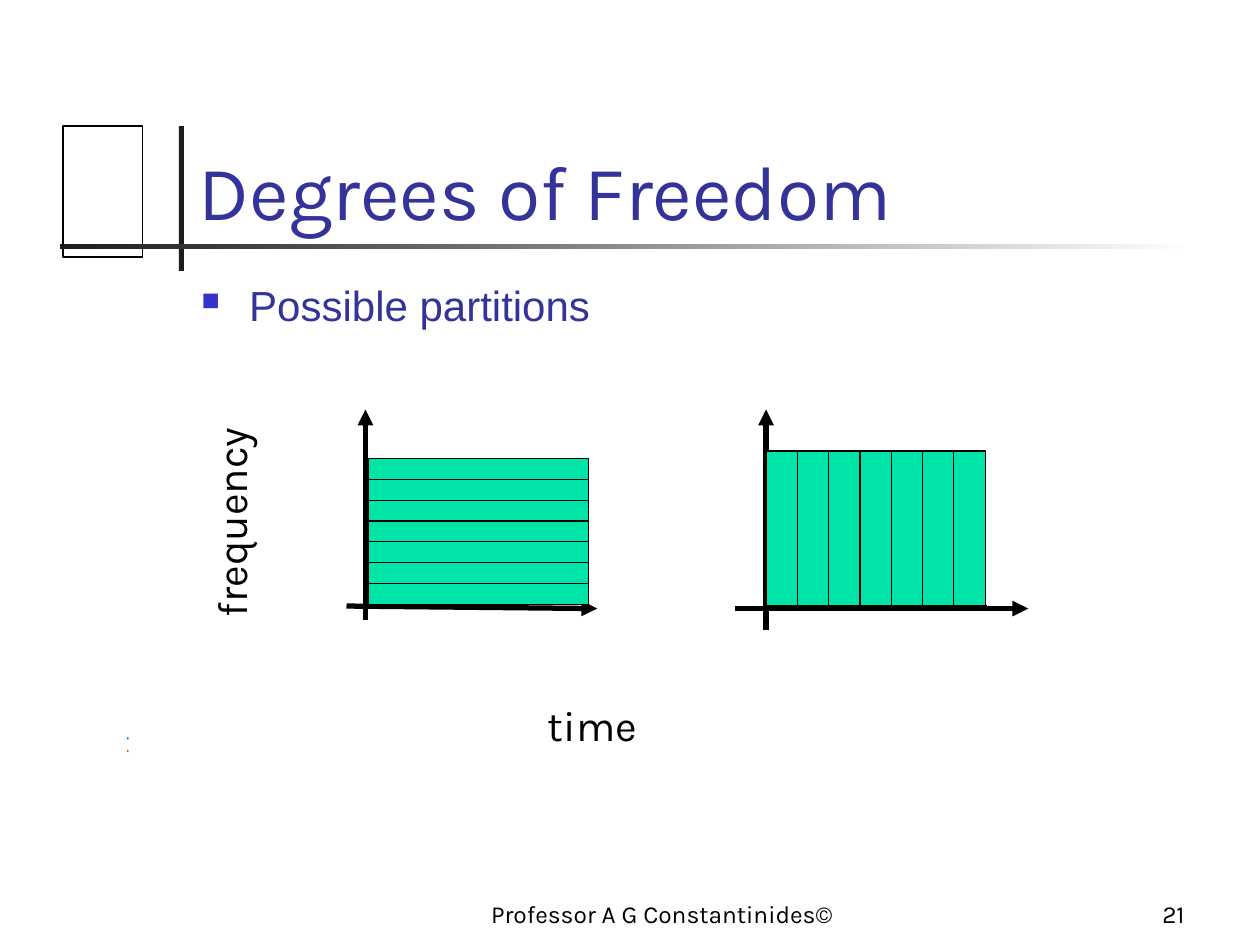
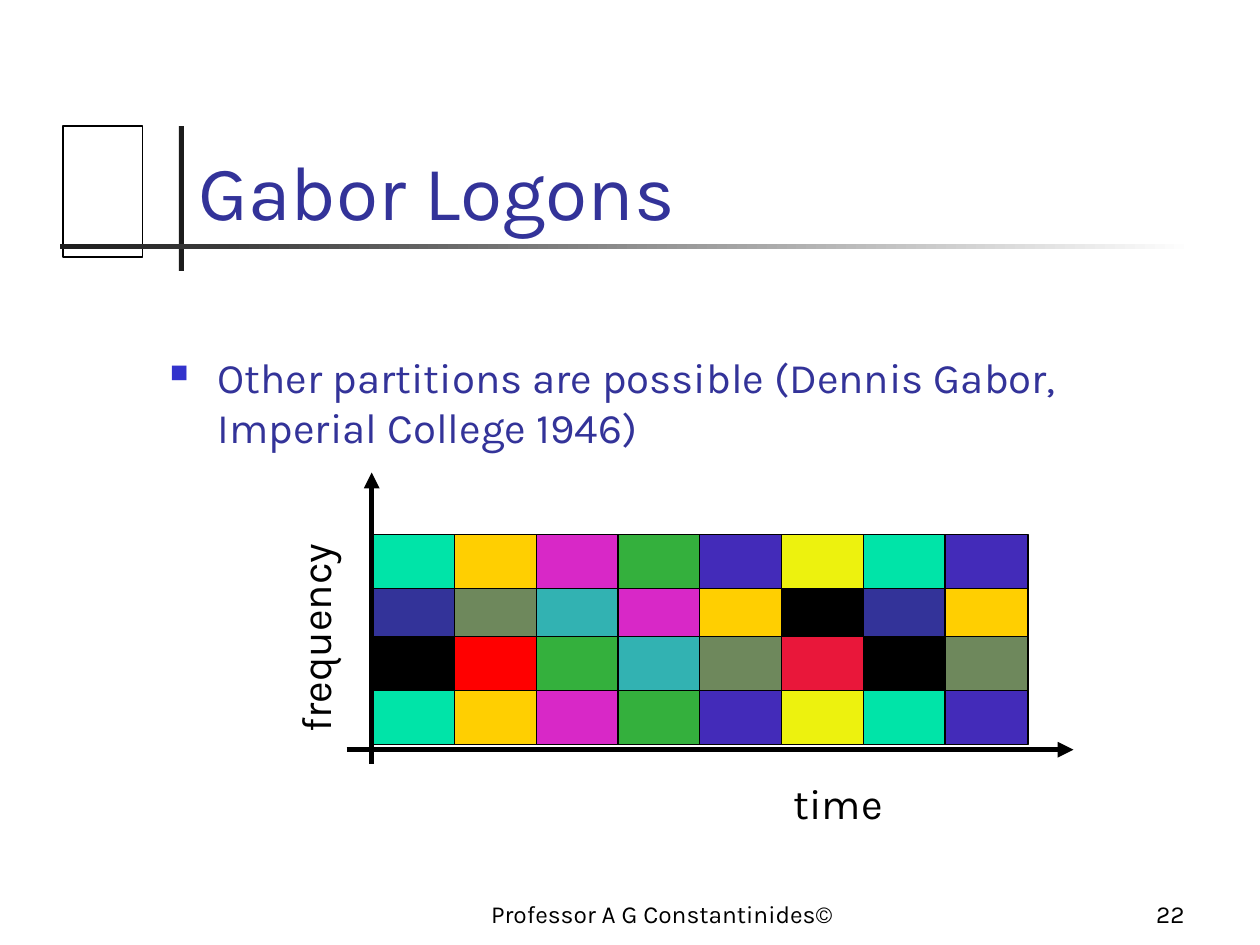
from lxml.etree import SubElement
from pptx import Presentation
from pptx.dml.color import RGBColor
from pptx.enum.dml import MSO_LINE
from pptx.enum.shapes import MSO_CONNECTOR as CONNECTOR, MSO_SHAPE as SHAPE
from pptx.enum.text import MSO_ANCHOR as ANCHOR, PP_ALIGN as ALIGN
from pptx.oxml.ns import qn
from pptx.util import Inches, Pt

rgb = RGBColor.from_string
BLACK, WHITE, DARK = "000000", "FFFFFF", "1C1C1C"
NAVY, GOLD, MINT = "333399", "FFCF01", "00E4A8"
MAGENTA, GREEN, VIOLET, YELLOW = "D828C7", "34B03D", "432BB9", "EDF20E"
OLIVE, TEAL, RED, CRIMSON = "6E885C", "32B2B2", "FF0000", "E9173A"


def add_box(slide, bounds, fill=None, outline=None, kind=SHAPE.RECTANGLE):
    """Add a shape; a pair of colours as fill gives a gradient from right to left."""
    shape = slide.shapes.add_shape(kind, *map(Inches, bounds))
    shape.shadow.inherit = False
    if fill is None:
        shape.fill.background()
    elif isinstance(fill, tuple):
        shape.fill.gradient()
        shape.fill.gradient_angle = 180
        for stop, colour in zip(shape.fill.gradient_stops, fill):
            stop.color.rgb = rgb(colour)
    else:
        shape.fill.solid()
        shape.fill.fore_color.rgb = rgb(fill)
    if outline:
        shape.line.color.rgb = rgb(outline)
        shape.line.width = Pt(0.75)
    else:
        shape.line.fill.background()


def add_line(slide, ends, arrow=True):
    """Add a thick axis with an arrowhead, or a thin dotted edge."""
    line = slide.shapes.add_connector(CONNECTOR.STRAIGHT, *map(Inches, ends))
    line.line.color.rgb = rgb(BLACK)
    line.line.width = Pt(3 if arrow else 0.75)
    if arrow:
        SubElement(line.line._get_or_add_ln(), qn("a:tailEnd"), type="triangle")
    else:
        line.line.dash_style = MSO_LINE.ROUND_DOT
    SubElement(line._element.spPr, qn("a:effectLst"))


presentation = Presentation()
presentation.slide_width, presentation.slide_height = Inches(10), Inches(7.5)

# Per slide: title, bullet, bullet font, bullet box, and axis label boxes
pages = [
    ("Degrees of Freedom", "Possible partitions", "Arial", (1.5, 2.17, 8.5, 4.5),
     (4.25, 5.5, 1.83, 0.5), (0.92, 3.83, 1.83, 0.5)),
    ("Gabor Logons",
     "Other partitions are possible (Dennis Gabor, Imperial College 1946)",
     "Karla", (1.25, 2.74, 8.5, 4.01),
     (6.2, 6.12, 1.83, 0.5), (1.58, 4.75, 1.83, 0.5)),
]

slides = []
for number, page in enumerate(pages, start=21):
    title, bullet, bullet_font, bullet_box, time_box, frequency_box = page
    slide = presentation.slides.add_slide(presentation.slide_layouts[6])
    slides.append(slide)

    # Plain corner frame and crossing bars
    add_box(slide, (0.5, 1, 0.63, 1.04), outline=BLACK)
    add_box(slide, (1.42, 1, 0.04, 1.15), DARK)
    add_box(slide, (0.48, 1.94, 9, 0.04), (WHITE, DARK))

    # Title, footer, page number, bullet and axis labels
    texts = [
        (title, (1.48, 0.67, 8.52, 1.25), 44, "Karla", NAVY, ANCHOR.BOTTOM, ALIGN.LEFT, 0),
        ("Professor A G Constantinides©", (3.67, 6.92, 3.17, 0.5), 14, "Karla", BLACK,
         ANCHOR.BOTTOM, ALIGN.CENTER, 0),
        (str(number), (7.42, 6.92, 2.08, 0.5), 14, "Karla", BLACK,
         ANCHOR.BOTTOM, ALIGN.RIGHT, 0),
        (bullet, bullet_box, 24, bullet_font, NAVY, ANCHOR.TOP, ALIGN.LEFT, 6),
        ("time", time_box, 24, "Karla", BLACK, ANCHOR.TOP, ALIGN.LEFT, 15),
        ("frequency", frequency_box, 24, "Karla", BLACK, ANCHOR.TOP, ALIGN.LEFT, 15),
    ]
    for text, bounds, size, font, colour, anchor, alignment, space in texts:
        text_box = slide.shapes.add_textbox(*map(Inches, bounds))
        text_box.rotation = 270 if text == "frequency" else 0
        frame = text_box.text_frame
        frame.word_wrap = True
        frame.vertical_anchor = anchor
        frame.text = text
        paragraph = frame.paragraphs[0]
        paragraph.alignment = alignment
        paragraph.space_before = Pt(space)
        paragraph.font.name, paragraph.font.size = font, Pt(size)
        paragraph.font.color.rgb = rgb(colour)
        if text == bullet:
            properties = paragraph._p.get_or_add_pPr()
            properties.set("marL", str(Inches(0.38)))
            properties.set("indent", str(-Inches(0.38)))
            marks = [SubElement(properties, qn("a:buClr")),
                     SubElement(properties, qn("a:buSzPct"), val="60000"),
                     SubElement(properties, qn("a:buChar"), char="■")]
            SubElement(marks[0], qn("a:srgbClr"), val="3333CC")
            # Bullet marks come before the default run properties
            for mark in marks:
                properties.find(qn("a:defRPr")).addprevious(mark)

partitions, logons = slides

# Two small dots at the lower left
add_box(partitions, (1.01, 5.85, 0.01, 0.02), "0000FF", kind=SHAPE.OVAL)
add_box(partitions, (1.01, 5.95, 0.01, 0.02), RED, kind=SHAPE.OVAL)

# Partition into frequency bands
add_line(partitions, (2.9, 4.92, 2.9, 3.25))
add_line(partitions, (2.75, 4.81, 4.74, 4.83))
add_line(partitions, (4.67, 4.14, 4.67, 4.79), arrow=False)
add_line(partitions, (2.92, 4.15, 2.92, 4.81), arrow=False)
for band in range(7):
    add_box(partitions, (2.92, 3.64 + band * 0.99 / 6, 1.75, 0.17), MINT, BLACK)

# Partition into time slots
add_line(partitions, (6.08, 5, 6.08, 3.25))
add_line(partitions, (5.83, 4.83, 8.16, 4.83))
add_line(partitions, (6.83, 3.58, 7.81, 3.58), arrow=False)
add_line(partitions, (6.84, 4.81, 7.83, 4.81), arrow=False)
for slot in range(7):
    add_box(partitions, (6.08 + slot * 1.49 / 6, 3.58, 0.25, 1.23), MINT, BLACK)

# Grid of logons, from the bottom row up
add_line(logons, (2.95, 6.06, 2.95, 3.75))
add_line(logons, (2.75, 5.95, 8.52, 5.95))
outer_row = [MINT, GOLD, MAGENTA, GREEN, VIOLET, YELLOW, MINT, VIOLET]
logon_rows = [
    (5.48, outer_row),
    (5.05, [BLACK, RED, GREEN, TEAL, OLIVE, CRIMSON, BLACK, OLIVE]),
    (4.62, [NAVY, OLIVE, TEAL, MAGENTA, GOLD, BLACK, NAVY, GOLD]),
    (4.24, outer_row),
]
for top, colours in logon_rows:
    for column, colour in enumerate(colours):
        add_box(logons, (2.96 + column * 4.54 / 7, top, 0.66, 0.43), colour, BLACK)

presentation.save("out.pptx")
